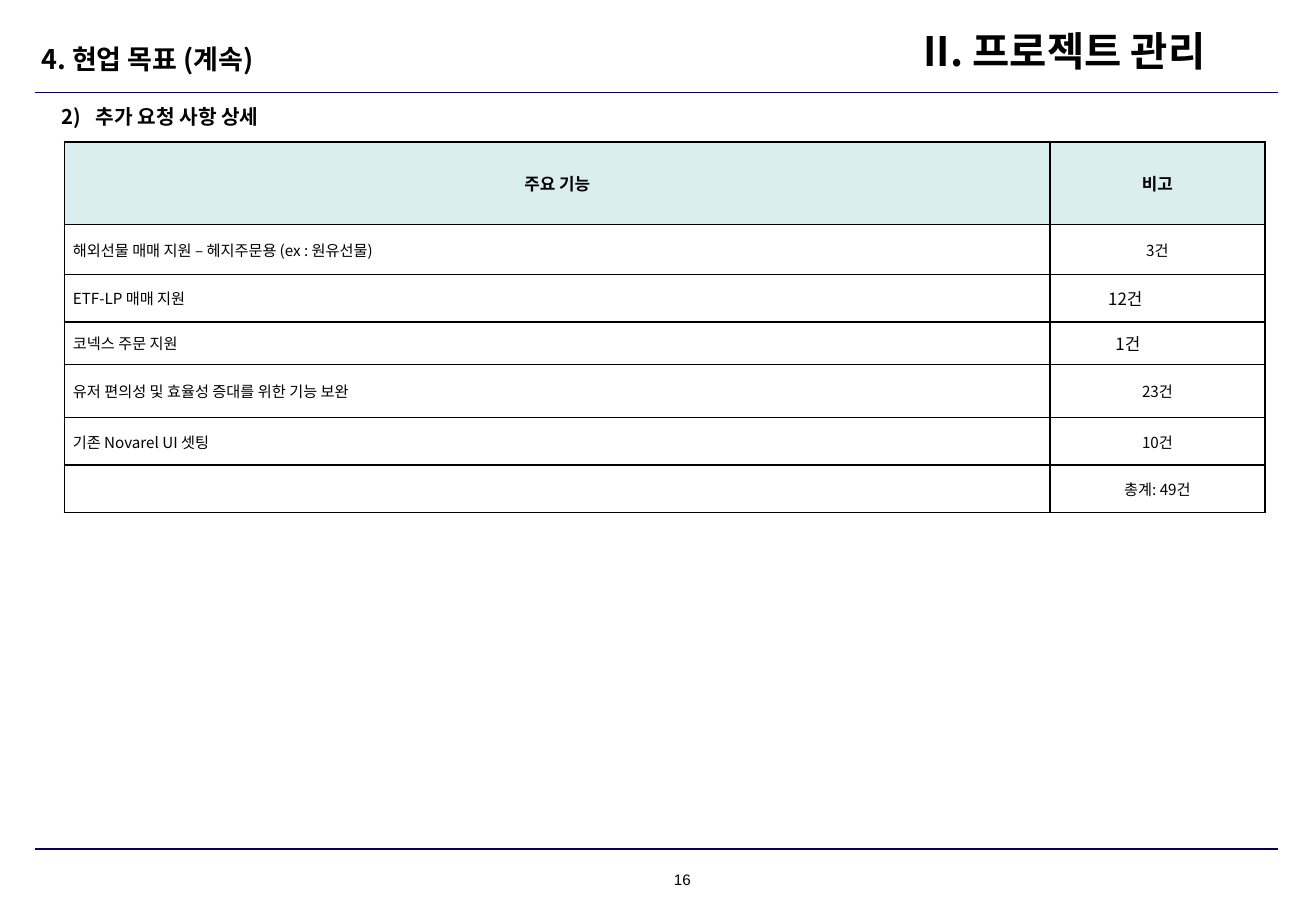
from dataclasses import dataclass

from lxml import etree
from pptx import Presentation
from pptx import util as u
from pptx.dml.color import RGBColor
from pptx.enum import shapes, text
from pptx.oxml.ns import qn


@dataclass(frozen=True)
class Theme:
    font: str = "Noto Sans CJK KR"
    number_font: str = "Arial"
    ink: str = "000000"
    rule: str = "000066"
    header: str = "DAEDEF"
    chapter_size: int = 24
    title_size: int = 16
    heading_size: int = 12
    label_size: int = 10
    cell_size: int = 9


LEFT, CENTER = text.PP_ALIGN.LEFT, text.PP_ALIGN.CENTER
MIDDLE = text.MSO_ANCHOR.MIDDLE


class Page:
    def __init__(self, deck, theme):
        self.theme = theme
        self.slide = deck.slides.add_slide(deck.slide_layouts[1])
        self.shapes = self.slide.shapes

    def add_words(self, frame, words, size, bold=False, align=LEFT, font=None):
        """Put one formatted line of text in a frame."""
        para = frame.paragraphs[0]
        para.alignment = align
        para.space_before = u.Pt(0)
        span = para.add_run()
        span.text = words
        name = font or self.theme.font
        formats = {"name": name, "size": u.Pt(size), "bold": bold}
        for key, value in formats.items():
            setattr(span.font, key, value)
        span.font.color.rgb = RGBColor.from_string(self.theme.ink)
        etree.SubElement(span.font._element, qn("a:ea"), typeface=name)

    def place(self, box, left, top, width, height, inset=0, wrap=True):
        """Position a text shape and set up its frame."""
        area = {"left": left, "top": top, "width": width, "height": height}
        for key, value in area.items():
            setattr(box, key, u.Inches(value))
        frame = box.text_frame
        formats = {"word_wrap": wrap, "auto_size": text.MSO_AUTO_SIZE.NONE,
                   "vertical_anchor": MIDDLE, "margin_top": 0, "margin_bottom": 0,
                   "margin_left": u.Inches(inset), "margin_right": u.Inches(inset)}
        for key, value in formats.items():
            setattr(frame, key, value)
        return frame

    def title(self, words, *area):
        frame = self.place(self.shapes.title, *area)
        self.add_words(frame, words, self.theme.title_size, bold=True)

    def numbered_heading(self, words, number, *area):
        frame = self.place(self.slide.placeholders[1], *area, inset=0.1)
        props = frame.paragraphs[0]._p.get_or_add_pPr()
        hang = u.Inches(0.28)
        props.set("marL", str(hang))
        props.set("indent", str(-hang))
        etree.SubElement(props, qn("a:buFont"), typeface=self.theme.font)
        etree.SubElement(props, qn("a:buAutoNum"), type="arabicParenR",
                         startAt=str(number))
        self.add_words(frame, words, self.theme.heading_size, bold=True)

    def label(self, words, size, *area, wrap=True, **style):
        box = self.shapes.add_textbox(0, 0, 0, 0)
        self.add_words(self.place(box, *area, wrap=wrap), words, size, **style)

    def rule(self, left, right, top):
        line = self.shapes.add_connector(
            shapes.MSO_CONNECTOR.STRAIGHT,
            *map(u.Inches, (left, top, right, top)))
        line.line.color.rgb = RGBColor.from_string(self.theme.rule)
        line.line.width = u.Pt(0.75)
        etree.SubElement(line._element.spPr, qn("a:effectLst"))

    def border(self, cell):
        props = cell._tc.get_or_add_tcPr()
        for index, side in enumerate(("lnL", "lnR", "lnT", "lnB")):
            edge = etree.Element(qn(f"a:{side}"), w=str(u.Pt(1)))
            fill = etree.SubElement(edge, qn("a:solidFill"))
            etree.SubElement(fill, qn("a:srgbClr"), val=self.theme.ink)
            props.insert(index, edge)

    def cell(self, cell, words, size, align, inset, header=False):
        formats = {"vertical_anchor": MIDDLE, "margin_top": 0, "margin_bottom": 0,
                   "margin_left": u.Inches(inset), "margin_right": u.Inches(0.04)}
        for key, value in formats.items():
            setattr(cell, key, value)
        if header:
            cell.fill.solid()
            cell.fill.fore_color.rgb = RGBColor.from_string(self.theme.header)
        else:
            cell.fill.background()
        self.border(cell)
        if words:
            self.add_words(cell.text_frame, words, size, bold=header, align=align)

    def table(self, left, top, widths, heights, headers, rows):
        area = map(u.Inches, (left, top, sum(widths), sum(heights)))
        grid = self.shapes.add_table(len(heights), len(widths), *area).table
        grid.first_row = grid.horz_banding = False
        for column, width in zip(grid.columns, widths):
            column.width = u.Inches(width)
        for row, height in zip(grid.rows, heights):
            row.height = u.Inches(height)
        for index, words in enumerate(headers):
            self.cell(grid.cell(0, index), words, self.theme.label_size,
                      CENTER, 0.04, header=True)
        for index, (feature, count, inset) in enumerate(rows, start=1):
            self.cell(grid.cell(index, 0), feature, self.theme.cell_size, LEFT, 0.07)
            # A count with its own inset is larger and left-aligned
            size = self.theme.label_size if inset else self.theme.cell_size
            self.cell(grid.cell(index, 1), count, size,
                      LEFT if inset else CENTER, inset or 0.04)


REQUESTS = [
    ("해외선물 매매 지원 – 헤지주문용 (ex : 원유선물)", "3건", None),
    ("ETF-LP 매매 지원", "12건", 0.48),
    ("코넥스 주문 지원", "1건", 0.54),
    ("유저 편의성 및 효율성 증대를 위한 기능 보완", "23건", None),
    ("기존 Novarel UI 셋팅", "10건", None),
    ("", "총계: 49건", None),
]


def main():
    deck = Presentation()
    deck.slide_width, deck.slide_height = u.Inches(10.83), u.Inches(7.5)
    theme = Theme()
    page = Page(deck, theme)

    # Header and footer rules, page number
    for top in (0.76, 6.99):
        page.rule(0.29, 10.52, top)
    page.label("16", theme.cell_size, 5.26, 7.13, 0.71, 0.22,
               align=CENTER, font=theme.number_font)

    # Headings
    page.title("4. 현업 목표 (계속)", 0.34, 0.32, 2.73, 0.32)
    page.label("II. 프로젝트 관리", theme.chapter_size, 7.6, 0.12, 2.81, 0.58,
               wrap=False, bold=True)
    page.numbered_heading("추가 요청 사항 상세", 2, 0.41, 0.78, 2.48, 0.36)

    # Request table
    page.table(0.53, 1.17, [8.11, 1.77],
               [0.68, 0.41, 0.39, 0.35, 0.44, 0.39, 0.39],
               ["주요 기능", "비고"], REQUESTS)

    deck.save("out.pptx")


if __name__ == "__main__":
    main()
